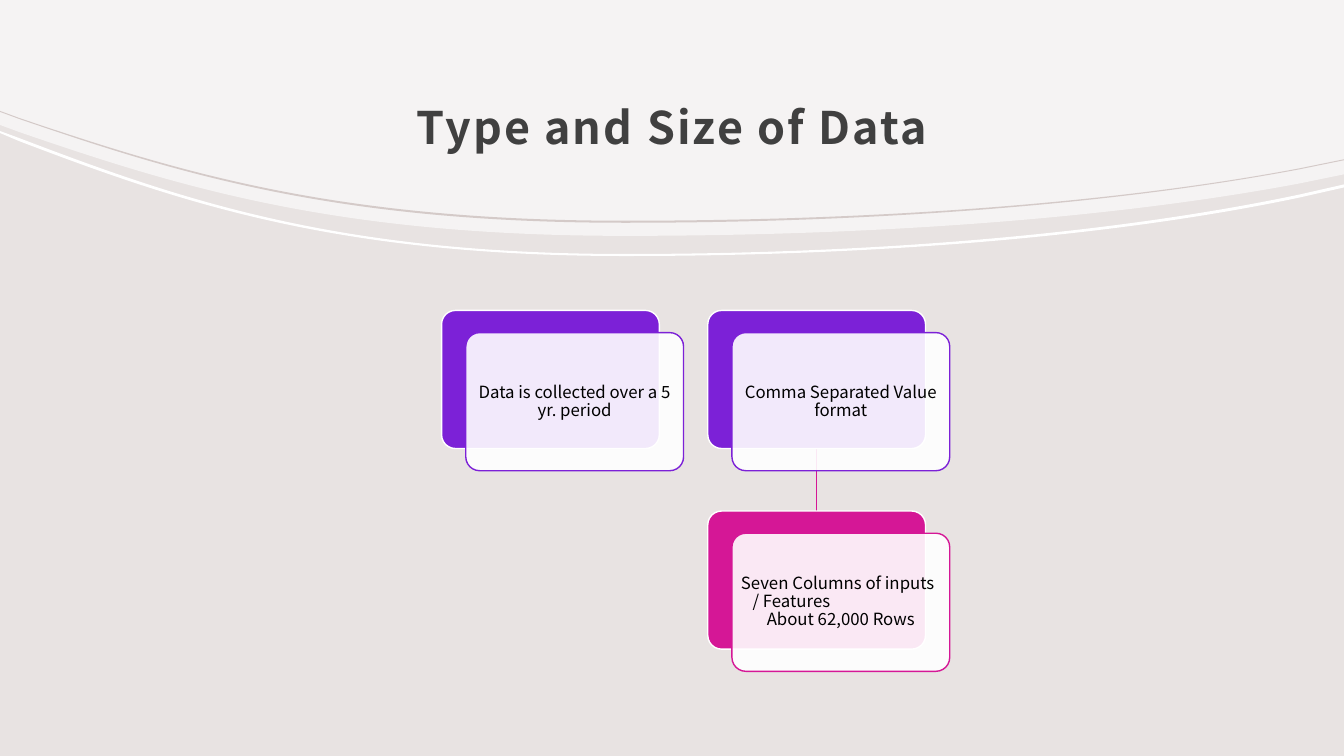
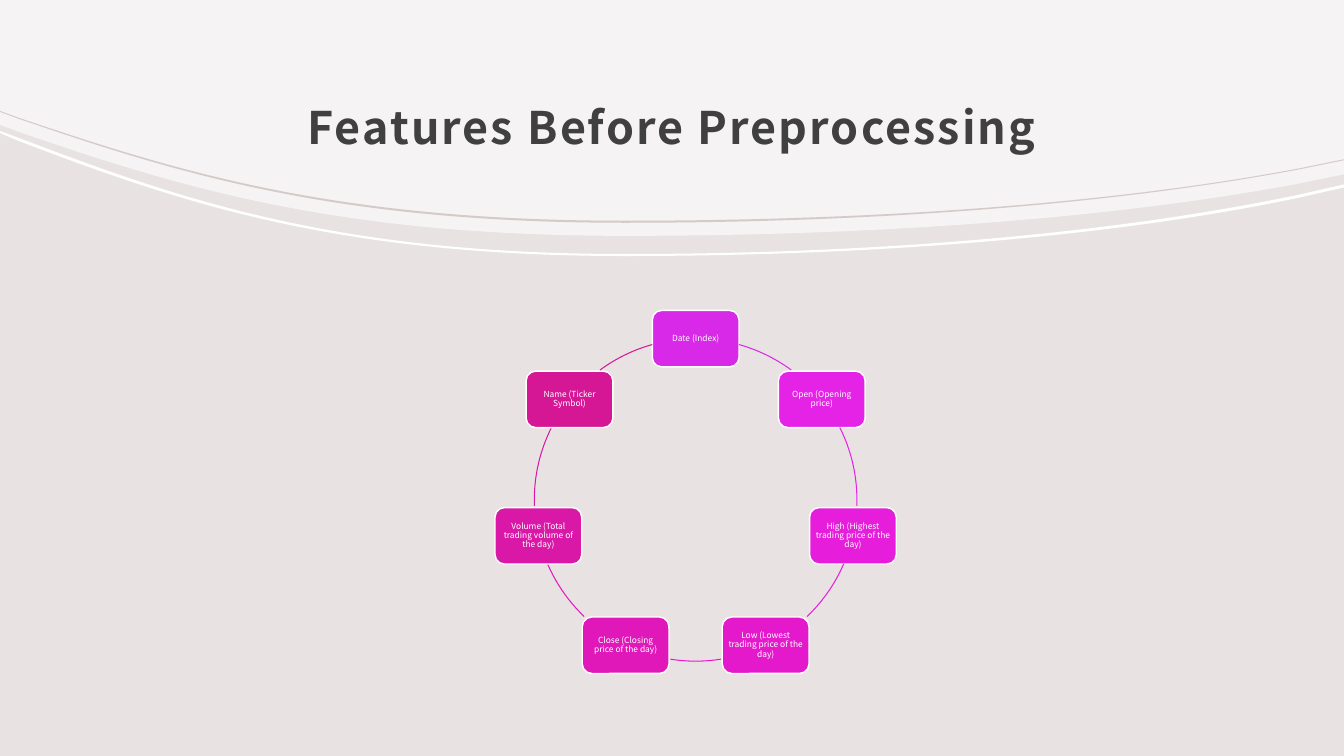
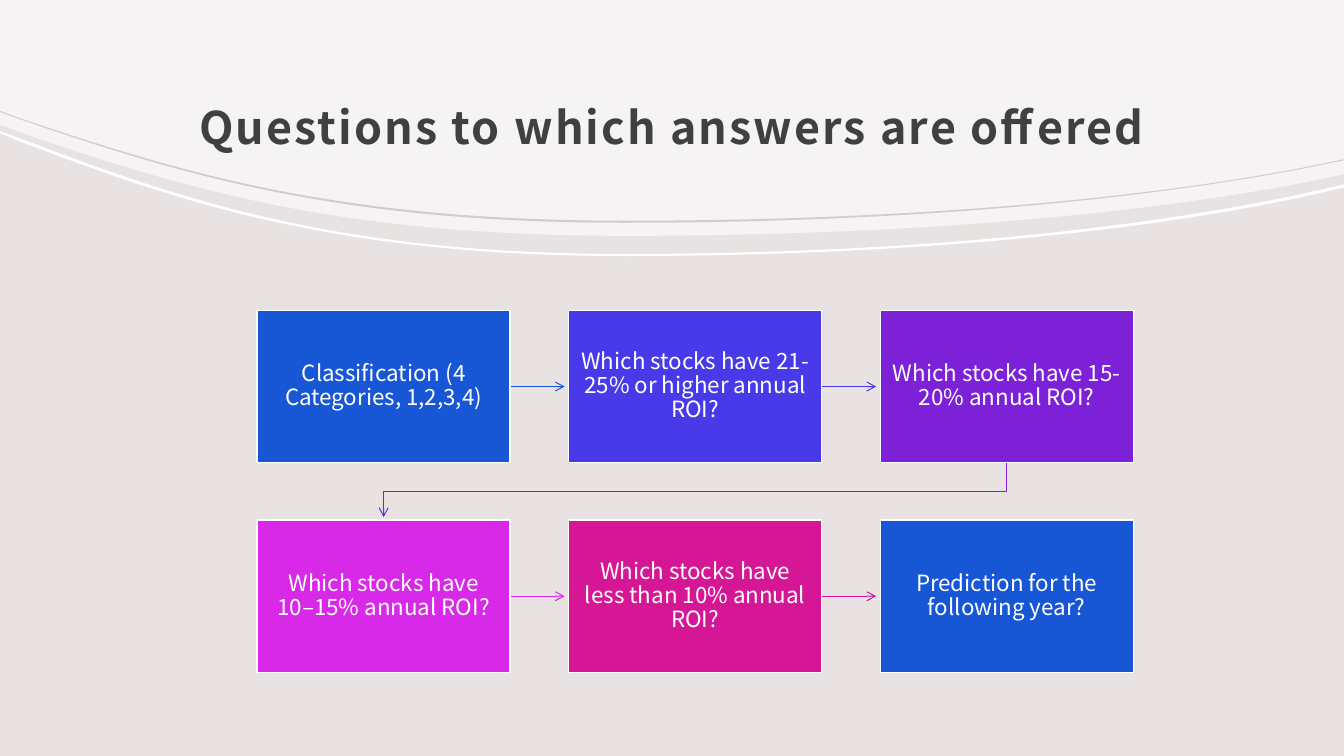
from dataclasses import dataclass
from math import cos, radians, sin

from lxml.etree import SubElement
from pptx import Presentation
from pptx.dml.color import RGBColor
from pptx.enum.shapes import MSO_CONNECTOR, MSO_SHAPE
from pptx.enum.text import MSO_ANCHOR, PP_ALIGN
from pptx.oxml.ns import qn
from pptx.util import Inches, Pt

WIDTH, HEIGHT = 13.33, 7.5
FONT = "Noto Sans CJK JP"
COLOURS = {
    "background": "E8E3E2", "white": "FFFFFF", "black": "000000",
    "title": "404040", "hairline": "D4CAC8", "blue": "1756D5",
    "indigo": "483AE9", "violet": "7C21D7", "orchid": "D729E7",
    "magenta": "D51796", "ring 2": "E423E7", "ring 3": "E61EDB",
    "ring 4": "E519CC", "ring 5": "E018B9", "ring 6": "DA18A7",
}
TEXT_STYLES = {
    "title": {"size": 32, "bold": True, "spacing": 1.3, "colour": "title", "insets": (0.12, 0.12, 0.12, 0.1)},
    "card": {"size": 12, "bold": False, "spacing": 0.9, "colour": "black", "insets": (0.05,) * 4},
    "node": {"size": 6, "bold": False, "spacing": 0.9, "colour": "white", "insets": (0.03,) * 4},
    "step": {"size": 16, "bold": False, "spacing": 0.9, "colour": "white", "insets": (0.12, 0.13, 0.12, 0.13)},
}
SWOOP_STEPS = (1, 3, 3, 1)
PANEL_EDGE = (1.24, 1.31, 1.86, 2.34, 2.16, 1.82, 1.73)
WHITE_EDGES = ((1.3, 1.37, 1.98, 2.52, 2.31, 1.93, 1.83), (1.32, 1.4, 2.01, 2.54, 2.34, 1.96, 1.86))
HAIRLINE_EDGES = ((1.1, 1.17, 1.71, 2.19, 2.01, 1.67, 1.58), (1.11, 1.18, 1.73, 2.21, 2.02, 1.68, 1.59))


@dataclass
class Grid:
    """Equal cells repeated at fixed column and row steps, in inches."""
    left: float
    top: float
    column_step: float
    row_step: float
    width: float
    height: float

    def cell(self, column, row):
        """Return left, top, width and height of one cell."""
        return (self.left + column * self.column_step, self.top + row * self.row_step,
                self.width, self.height)

    def centre(self, column, row):
        """Return the middle point of one cell."""
        left, top, width, height = self.cell(column, row)
        return left + width / 2, top + height / 2


CARD_GRID = Grid(4.38, 3.08, 2.64, 1.99, 2.16, 1.37)
STEP_GRID = Grid(2.55, 3.08, 3.09, 2.08, 2.51, 1.51)
CARDS = [
    (0, 0, "violet", "Data is collected over a 5 yr. period"),
    (1, 0, "violet", "Comma Separated Value format"),
    (1, 1, "magenta", "Seven Columns of inputs\t/ Features\t\tAbout 62,000 Rows"),
]
FEATURES = [
    ("orchid", "Date (Index)"),
    ("ring 2", "Open (Opening price)"),
    ("ring 3", "High (Highest trading price of the day)"),
    ("ring 4", "Low (Lowest trading price of the day)"),
    ("ring 5", "Close (Closing price of the day)"),
    ("ring 6", "Volume (Total trading volume of the day)"),
    ("magenta", "Name (Ticker Symbol)"),
]
RIGHT_ARCS = [(15.6, 36.4), (63.3, 92.1), (113.3, 136.3)]
LEFT_ARCS = [(360 - end, 360 - start) for start, end in reversed(RIGHT_ARCS)]
ARCS = [*RIGHT_ARCS, (171, 189), *LEFT_ARCS]
STEPS = [
    ("blue", "Classification (4 Categories, 1,2,3,4)"),
    ("indigo", "Which stocks have 21-25% or higher annual ROI?"),
    ("violet", "Which stocks have 15-20% annual ROI?"),
    ("orchid", "Which stocks have 10–15% annual ROI?"),
    ("magenta", "Which stocks have less than 10% annual ROI?"),
    ("blue", "Prediction for the following year?"),
]


def colour(name):
    """Look up a colour by name."""
    return RGBColor.from_string(COLOURS[name])


def apply(target, values):
    """Set every attribute in a dict of format values."""
    for name, value in values.items():
        setattr(target, name, value)


def paint(shape, fill=None, opacity=100, line=None, line_width=1):
    """Give a shape its fill and outline, without a shadow."""
    shape.shadow.inherit = False
    if fill:
        shape.fill.solid()
        shape.fill.fore_color.rgb = colour(fill)
        if opacity < 100:
            fill_colour = shape._element.spPr.find(f"{qn('a:solidFill')}/{qn('a:srgbClr')}")
            SubElement(fill_colour, qn("a:alpha"), val=str(opacity * 1000))
    else:
        shape.fill.background()
    if line:
        apply(shape.line, {"width": Pt(line_width)})
        shape.line.color.rgb = colour(line)
    else:
        shape.line.fill.background()


def write(shape, text, style_name):
    """Write centred text in one of the shared styles."""
    style = TEXT_STYLES[style_name]
    frame = shape.text_frame
    sides = ("margin_left", "margin_top", "margin_right", "margin_bottom")
    apply(frame, {"word_wrap": True, "vertical_anchor": MSO_ANCHOR.MIDDLE})
    apply(frame, {side: Inches(inset) for side, inset in zip(sides, style["insets"])})
    paragraph = frame.paragraphs[0]
    apply(paragraph, {"alignment": PP_ALIGN.CENTER, "line_spacing": style["spacing"]})
    paragraph._p.get_or_add_pPr().set("defTabSz", str(style["size"] * 44450))
    run = paragraph.add_run()
    run.text = text
    apply(run.font, {"name": FONT, "size": Pt(style["size"]), "bold": style["bold"]})
    run.font.color.rgb = colour(style["colour"])
    return run


def add_box(slide, kind, bounds, **look):
    """Add a painted preset shape."""
    shape = slide.shapes.add_shape(kind, *map(Inches, bounds))
    paint(shape, **look)
    return shape


def bend_segments(shape, steps):
    """Merge each step of three straight segments into one cubic curve."""
    segments = iter(list(shape._element.iter(qn("a:lnTo"))))
    for size in steps:
        first, *others = [next(segments) for _ in range(size)]
        if others:
            first.tag = qn("a:cubicBezTo")
        for segment in others:
            first.append(segment[0])
            segment.getparent().remove(segment)


def add_outline(slide, points, steps=(), closed=True, **look):
    """Add a painted freeform; a step of three points is a curve."""
    start, *others = [(Inches(x), Inches(y)) for x, y in points]
    builder = slide.shapes.build_freeform(*start, scale=1.0)
    builder.add_line_segments(others, close=closed)
    shape = builder.convert_to_shape()
    bend_segments(shape, steps)
    paint(shape, **look)
    return shape


def add_line(slide, start, end, line, line_width):
    """Add a straight connector without a shadow."""
    connector = slide.shapes.add_connector(MSO_CONNECTOR.STRAIGHT, *map(Inches, (*start, *end)))
    apply(connector.line, {"width": Pt(line_width)})
    connector.line.color.rgb = colour(line)
    SubElement(connector._element.spPr, qn("a:effectLst"))
    return connector


def point_arrow(shape):
    """Put an open arrowhead at the end of a line."""
    SubElement(shape._element.spPr.find(qn("a:ln")), qn("a:tailEnd"), type="arrow")


def swoop(heights):
    """Return the points of the curve that dips across the slide."""
    start, knee, fall, bottom, rise, shoulder, end = heights
    return [(0, start), (0.19, knee), (1.79, fall), (3.33, bottom), (6.2, bottom),
            (8.75, bottom), (11.09, rise), (12.89, shoulder), (WIDTH, end)]


def add_titled_slide(presentation, title):
    """Add a blank slide with the curved header and its title."""
    slide = presentation.slides.add_slide(presentation.slide_layouts[6])
    add_outline(slide, [(WIDTH, 0), (0, 0), *swoop(PANEL_EDGE)], (1, 1, *SWOOP_STEPS),
                fill="white", opacity=60)
    for (upper, lower), fill in ((WHITE_EDGES, "white"), (HAIRLINE_EDGES, "hairline")):
        add_outline(slide, swoop(upper) + swoop(lower)[::-1],
                    (*SWOOP_STEPS, 1, *SWOOP_STEPS), fill=fill)
    bounds = (WIDTH * 0.1, 0.6, WIDTH * 0.8, 1.14)
    run = write(slide.shapes.add_textbox(*map(Inches, bounds)), title, "title")
    run._r.get_or_add_rPr().set("spc", "150")
    return slide


def add_cards(slide):
    """Draw the layered cards and the link between two of them."""
    x, _ = CARD_GRID.centre(1, 0)
    _, card_top, _, card_height = CARD_GRID.cell(1, 0)
    add_line(slide, (x, card_top + card_height), (x, CARD_GRID.cell(1, 1)[1]), "magenta", 1)
    for column, row, accent, text in CARDS:
        left, top, width, height = CARD_GRID.cell(column, row)
        back = add_box(slide, MSO_SHAPE.ROUNDED_RECTANGLE, (left, top, width, height),
                       fill=accent, line="white")
        front = add_box(slide, MSO_SHAPE.ROUNDED_RECTANGLE, (left + 0.24, top + 0.22, width, height),
                        fill="white", opacity=90, line=accent)
        for shape in (back, front):
            shape.adjustments[0] = 0.1
        write(front, text, "card")


def add_ring(slide, centre_x=6.9, centre_y=4.96, radius=1.6, width=0.86, height=0.56):
    """Draw the features evenly round a circle, joined by arcs."""
    step = 360 / len(FEATURES)
    circle = (centre_x - radius, centre_y - radius, 2 * radius, 2 * radius)
    for index, ((accent, text), ends) in enumerate(zip(FEATURES, ARCS)):
        angle = radians(index * step - 90)
        bounds = (centre_x + radius * cos(angle) - width / 2,
                  centre_y + radius * sin(angle) - height / 2, width, height)
        node = add_box(slide, MSO_SHAPE.ROUNDED_RECTANGLE, bounds, fill=accent, line="white")
        write(node, text, "node")
        arc = add_box(slide, MSO_SHAPE.ARC, circle, line=accent, line_width=0.75)
        for position, degrees in enumerate(ends):
            arc.adjustments[position] = (270 + degrees) % 360 * 0.6


def add_flow(slide, columns=3, arrow_length=0.54):
    """Draw the questions row by row, joined by arrows."""
    for index, (accent, text) in enumerate(STEPS):
        row, column = divmod(index, columns)
        left, top, width, height = bounds = STEP_GRID.cell(column, row)
        x, y = STEP_GRID.centre(column, row)
        right, bottom = left + width, top + height
        if column < columns - 1:
            point_arrow(add_line(slide, (right, y), (right + arrow_length, y), accent, 0.75))
        elif index < len(STEPS) - 1:
            next_x, _ = STEP_GRID.centre(0, row + 1)
            middle, end = bottom + 0.29, bottom + arrow_length
            bend = [(x, bottom), (x, middle), (next_x, middle), (next_x, end)]
            point_arrow(add_outline(slide, bend, closed=False, line=accent, line_width=0.75))
        write(add_box(slide, MSO_SHAPE.RECTANGLE, bounds, fill=accent, line="white"), text, "step")


def main():
    """Build and save the presentation."""
    presentation = Presentation()
    apply(presentation, {"slide_width": Inches(WIDTH), "slide_height": Inches(HEIGHT)})
    background = presentation.slide_master.background.fill
    background.solid()
    background.fore_color.rgb = colour("background")
    add_cards(add_titled_slide(presentation, "Type and Size of Data"))
    add_ring(add_titled_slide(presentation, "Features Before Preprocessing"))
    add_flow(add_titled_slide(presentation, "Questions to which answers are offered"))
    presentation.save("out.pptx")


if __name__ == "__main__":
    main()
